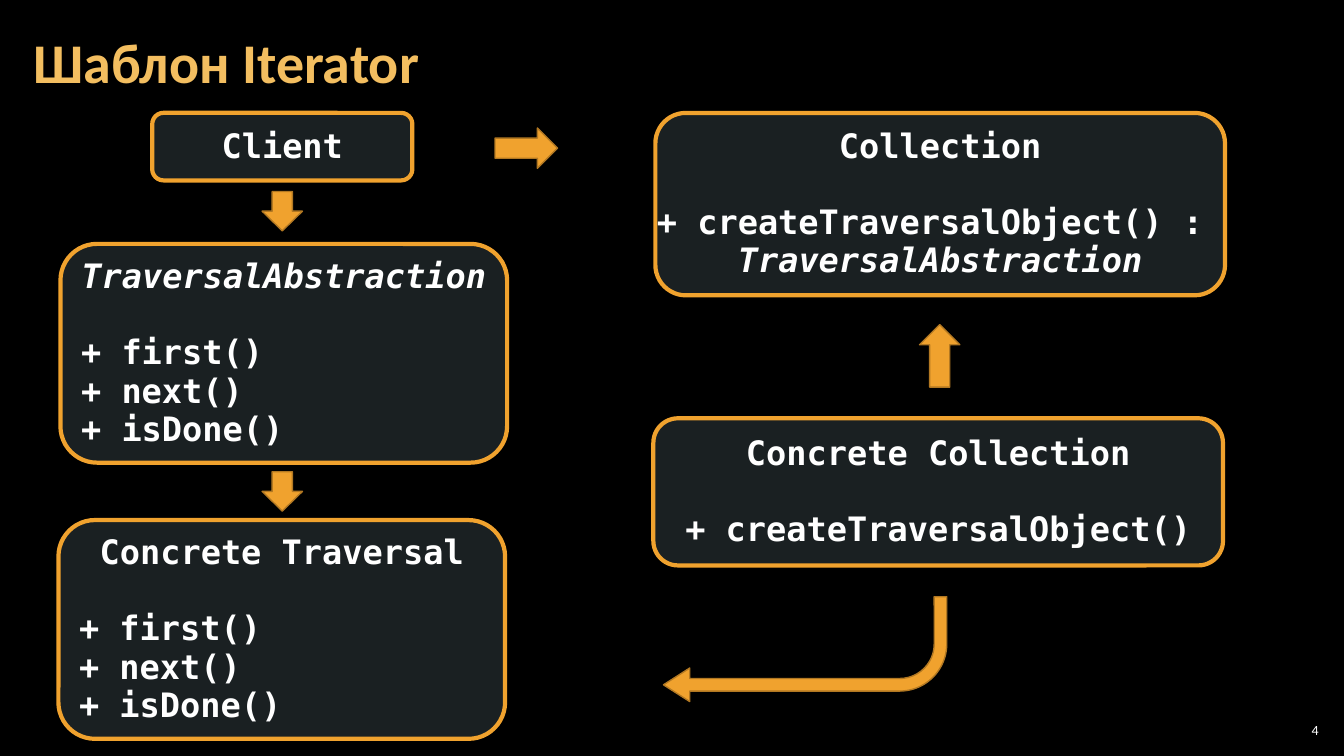
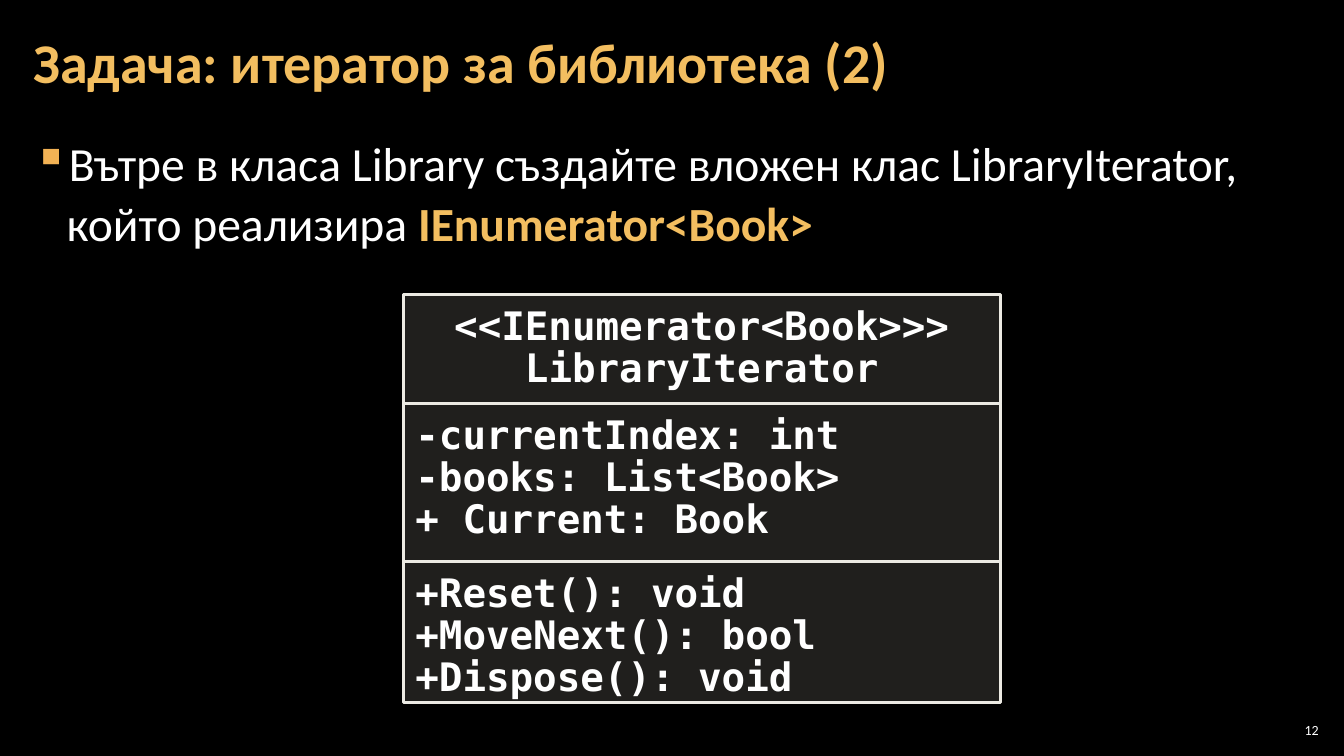
from lxml import etree
from pptx import Presentation
from pptx import util as u
from pptx.dml.color import RGBColor
from pptx.enum import shapes, text
from pptx.oxml import ns

Inches, Pt = u.Inches, u.Pt
SHAPE, ALIGN = shapes.MSO_SHAPE, text.PP_ALIGN
SANS, MONO = "Calibri", "DejaVu Sans Mono"
COLORS = {
    "background": "000000", "text": "FFFFFF", "gold": "F3BE60", "bullet": "F2B254",
    "orange": "F0A22E", "arrow_line": "B27822", "ice": "B5DBE5",
    "sand": "D9D5C7", "sand_line": "ECEAE3",
}
RGB = {name: RGBColor.from_string(value) for name, value in COLORS.items()}


def add_box(page, kind, place, fill=None, line=None, width=1, alpha=None, inset=None):
    lengths = [Inches(length) for length in place]
    if kind is None:
        box = page.shapes.add_textbox(*lengths)
    else:
        box = page.shapes.add_shape(kind, *lengths)
        box.shadow.inherit = False
        box.fill.solid()
        box.fill.fore_color.rgb = RGB[fill]
        box.line.color.rgb = RGB[line]
        box.line.width = Pt(width)
    if alpha:
        color = box.fill._xPr.find(".//" + ns.qn("a:srgbClr"))
        etree.SubElement(color, ns.qn("a:alpha"), val=str(alpha * 1000))
    frame = box.text_frame
    frame.word_wrap = True
    frame.vertical_anchor = text.MSO_ANCHOR.MIDDLE
    if inset:
        frame.margin_left = frame.margin_right = Inches(inset[0])
        frame.margin_top = frame.margin_bottom = Inches(inset[1])
    return box


def add_text(para, words, font, size, color="text", bold=False, italic=False):
    span = para.add_run()
    span.text = words
    span.font.name = font
    span.font.size = Pt(size)
    span.font.color.rgb = RGB[color]
    span.font.bold = bold
    span.font.italic = italic


deck = Presentation()
deck.slide_width, deck.slide_height = Inches(13.33), Inches(7.5)
pages = []
for title, number in [("Шаблон Iterator", "4"), ("Задача: итератор за библиотека (2)", "12")]:
    page = deck.slides.add_slide(deck.slide_layouts[6])
    page.background.fill.solid()
    page.background.fill.fore_color.rgb = RGB["background"]
    box = add_box(page, None, (0.21, 0.04, 12.91, 1.21), inset=(0.12, 0.04))
    para = box.text_frame.paragraphs[0]
    para.line_spacing = 0.9
    add_text(para, title, SANS, 40, "gold", bold=True)
    box = add_box(page, None, (12.65, 7.14, 0.47, 0.21), inset=(0.04, 0.04))
    para = box.text_frame.paragraphs[0]
    para.alignment = ALIGN.RIGHT
    add_text(para, number, SANS, 10)
    pages.append(page)
pattern_page, task_page = pages

abstraction = "TraversalAbstraction"
factory = "+ createTraversalObject()"
steps = ["+ first()", "+ next()", "+ isDone()"]
participants = [
    ((1.51, 1.12, 2.58, 0.67), "Client", [], ALIGN.CENTER),
    ((0.6, 2.42, 4.43, 2.17), abstraction, steps, ALIGN.LEFT),
    ((0.58, 5.16, 4.43, 2.17), "Concrete Traversal", steps, ALIGN.LEFT),
    ((6.5, 1.12, 5.65, 1.81), "Collection", [factory + " : ", abstraction], ALIGN.CENTER),
    ((6.48, 4.15, 5.65, 1.46), "Concrete Collection", [factory], ALIGN.CENTER),
]
for place, heading, members, alignment in participants:
    box = add_box(pattern_page, SHAPE.ROUNDED_RECTANGLE, place, "ice", "orange", 3, alpha=15)
    frame = box.text_frame
    frame.word_wrap = False
    for index, words in enumerate([heading] + members):
        para = frame.add_paragraph() if index else frame.paragraphs[0]
        para.alignment = alignment if index else ALIGN.CENTER
        para.line_spacing = 0.95
        if members and not index:
            para.space_after = Pt(27.3)
        add_text(para, words, MONO, 24, bold=True, italic=words == abstraction)

arrows = [
    (SHAPE.DOWN_ARROW, (2.6, 1.9, 0.4, 0.39)),
    (SHAPE.DOWN_ARROW, (2.6, 4.68, 0.4, 0.39)),
    (SHAPE.RIGHT_ARROW, (4.91, 1.27, 0.62, 0.4)),
    (SHAPE.UP_ARROW, (9.12, 3.22, 0.4, 0.62)),
]
for kind, place in arrows:
    add_box(pattern_page, kind, place, "orange", "arrow_line")
bent_arrow = add_box(pattern_page, SHAPE.BENT_ARROW, (6.58, 5.92, 2.81, 1.04), "orange", "arrow_line")
bent_arrow.rotation = 180
for index, value in enumerate([0.12, 0.16, 0.25, 0.45]):
    bent_arrow.adjustments[index] = value

box = add_box(task_page, None, (0.21, 1.26, 12.91, 6.09), inset=(0.12, 0.04))
box.text_frame.vertical_anchor = text.MSO_ANCHOR.TOP
para = box.text_frame.paragraphs[0]
properties = para._p.get_or_add_pPr()
properties.set("marL", str(Inches(0.33)))
properties.set("indent", str(-Inches(0.33)))
bullet_color = etree.SubElement(properties, ns.qn("a:buClr"))
etree.SubElement(bullet_color, ns.qn("a:srgbClr"), val=COLORS["bullet"])
etree.SubElement(properties, ns.qn("a:buChar"), char="▪")
para.line_spacing = 1.05
para.space_after = Pt(6)
add_text(para, "Вътре в класа Library създайте вложен клас LibraryIterator,", SANS, 34)
para.add_line_break()
add_text(para, "който реализира ", SANS, 34)
add_text(para, "IEnumerator<Book>", SANS, 34, "gold", bold=True)

compartments = [
    (1.08, ALIGN.CENTER, ["<<IEnumerator<Book>>>", "LibraryIterator"]),
    (1.57, ALIGN.LEFT, ["-currentIndex: int", "-books: List<Book>", "+ Current: Book"]),
    (1.4, ALIGN.LEFT, ["+Reset(): void", "+MoveNext(): bool", "+Dispose(): void"]),
]
top = 2.92
for height, alignment, lines in compartments:
    box = add_box(task_page, SHAPE.RECTANGLE, (4, top, 5.92, height), "sand", "sand_line", 2,
                  alpha=15, inset=(0.12, 0.12))
    frame = box.text_frame
    frame.vertical_anchor = text.MSO_ANCHOR.TOP
    for index, words in enumerate(lines):
        para = frame.add_paragraph() if index else frame.paragraphs[0]
        para.alignment = alignment
        para.line_spacing = Pt(30)
        add_text(para, words, MONO, 28, bold=True)
    top += height

deck.save("out.pptx")
